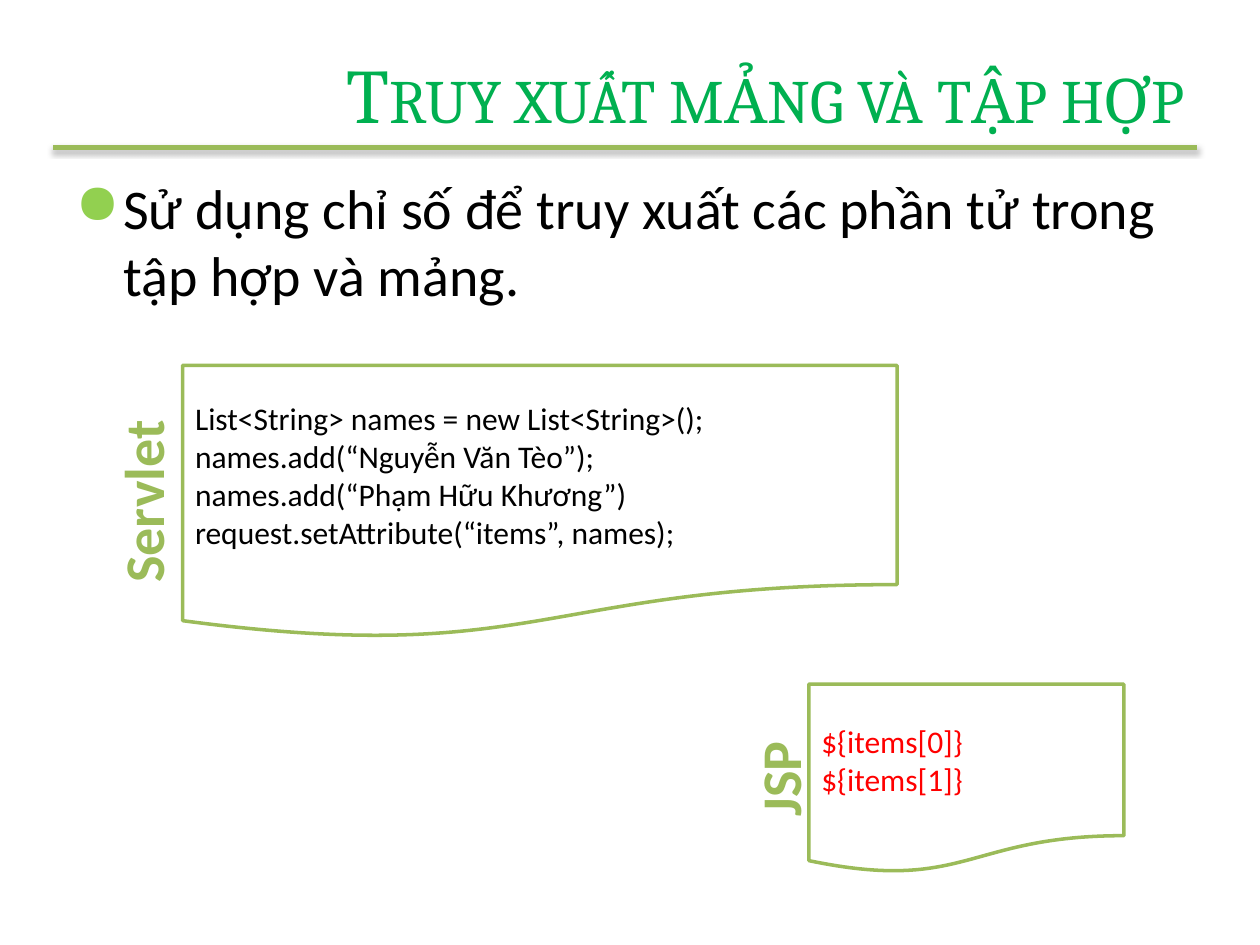
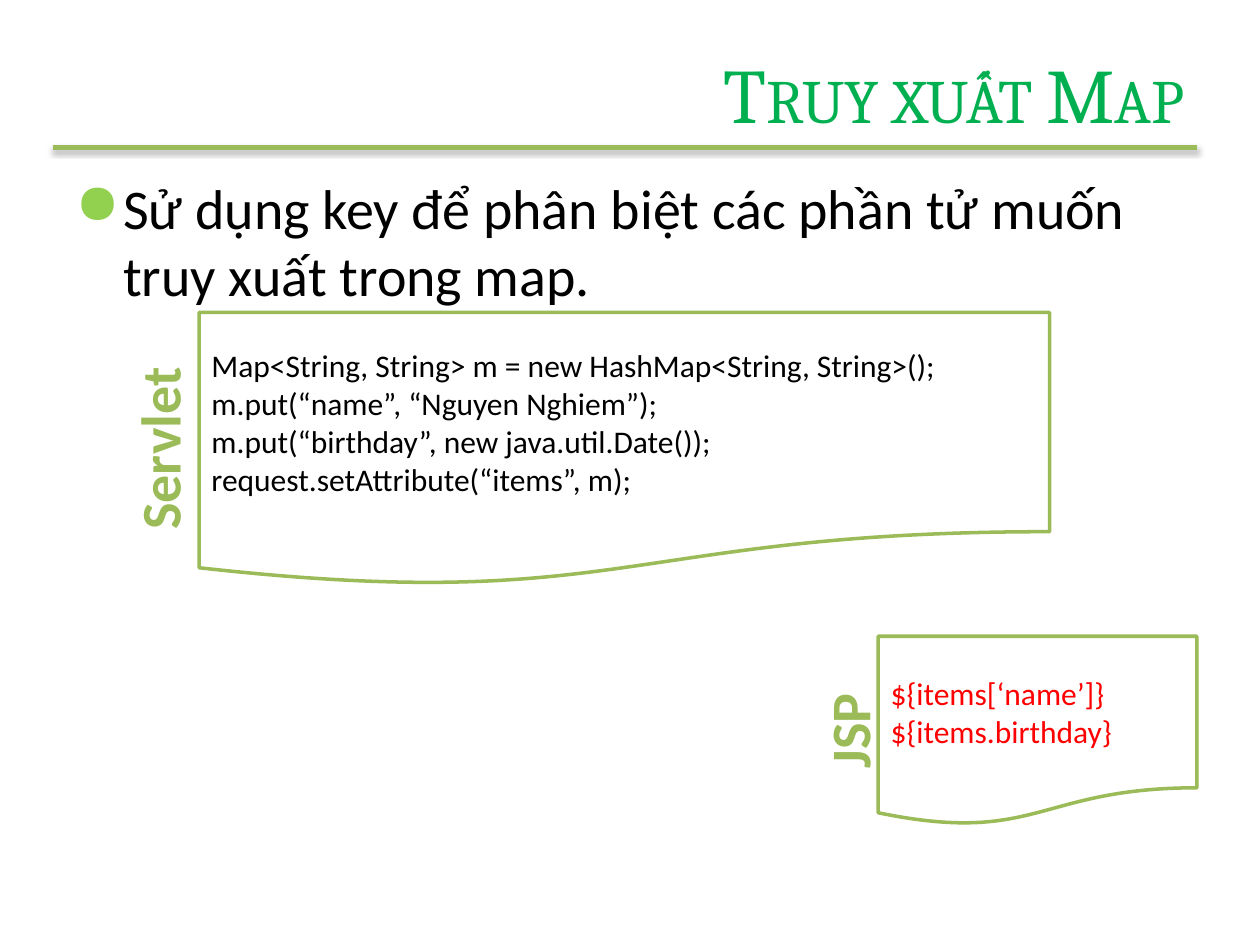
from lxml import etree
from pptx import Presentation
from pptx.dml.color import RGBColor
from pptx.enum.shapes import MSO_CONNECTOR, MSO_SHAPE
from pptx.enum.text import MSO_ANCHOR, MSO_AUTO_SIZE, PP_ALIGN
from pptx.oxml import parse_xml
from pptx.oxml.ns import nsdecls, qn
from pptx.util import Pt

LEFT, CENTER, RIGHT = PP_ALIGN.LEFT, PP_ALIGN.CENTER, PP_ALIGN.RIGHT
TOP, MIDDLE = MSO_ANCHOR.TOP, MSO_ANCHOR.MIDDLE
NO_FIT, FIT_SHAPE = MSO_AUTO_SIZE.NONE, MSO_AUTO_SIZE.SHAPE_TO_FIT_TEXT
DOCUMENT, STRAIGHT = MSO_SHAPE.FLOWCHART_DOCUMENT, MSO_CONNECTOR.STRAIGHT

PX = 9144
COLORS = {"title": "00B050", "accent": "9BBB59", "bullet": "92D050",
          "text": "000000", "result": "FF0000", "paper": "FFFFFF"}
FONTS = {
    "title": {"name": "Cambria", "size": Pt(44)},
    "body": {"name": "Calibri", "size": Pt(32)},
    "code": {"name": "Calibri", "size": Pt(18)},
    "label": {"name": "Calibri", "size": Pt(32), "bold": True},
}


def rgb(key):
    return RGBColor.from_string(COLORS[key])


class Deck:
    """Builds slides in one shared style, with lengths in px (100 to the inch)."""

    def __init__(self):
        self.prs = Presentation()
        self.prs.slide_width, self.prs.slide_height = 1000 * PX, 750 * PX
        self.s = None

    def slide(self, title, body, body_h):
        self.s = self.prs.slides.add_slide(self.prs.slide_layouts[6])
        self.rule(42, 117, 950)
        self.title(title)
        self.bullet(body, body_h)

    def text(self, sp, lines, font, color, align=LEFT, **frame):
        tf = sp.text_frame
        settings = {"word_wrap": True, "auto_size": NO_FIT, "vertical_anchor": TOP, **frame}
        for key, value in settings.items():
            setattr(tf, key, value)
        for i, line in enumerate(lines):
            p = tf.paragraphs[0] if i == 0 else tf.add_paragraph()
            p.alignment = align
            r = p.add_run()
            r.text = line
            for key, value in FONTS[font].items():
                setattr(r.font, key, value)
            r.font.color.rgb = rgb(color)
        return tf.paragraphs[0]

    def box(self, x, y, w, h):
        return self.s.shapes.add_textbox(x * PX, y * PX, w * PX, h * PX)

    def rule(self, x1, y, x2):
        line = self.s.shapes.add_connector(STRAIGHT, x1 * PX, y * PX, x2 * PX, y * PX)
        line.line.color.rgb = rgb("accent")
        line.line.width = Pt(3)
        line._element.spPr.append(parse_xml(
            f'<a:effectLst {nsdecls("a")}>'
            f'<a:outerShdw blurRad="{Pt(3.1)}" dist="{Pt(1.8)}" dir="5400000" rotWithShape="0">'
            f'<a:srgbClr val="{COLORS["text"]}"><a:alpha val="35000"/></a:srgbClr>'
            '</a:outerShdw></a:effectLst>'))

    def title(self, text):
        p = self.text(self.box(145, 30, 805, 87), [text], "title", "title", RIGHT,
                      vertical_anchor=MIDDLE)
        p.runs[0].font._element.set("cap", "small")

    def bullet(self, text, h):
        p = self.text(self.box(50, 133, 900, h), [text], "body", "text")
        pPr = p._p.get_or_add_pPr()
        pPr.set("marL", str(38 * PX))
        pPr.set("indent", str(-38 * PX))
        before = etree.SubElement(pPr, qn("a:spcBef"))
        etree.SubElement(before, qn("a:spcPct")).set("val", "20000")
        color = etree.SubElement(pPr, qn("a:buClr"))
        etree.SubElement(color, qn("a:srgbClr")).set("val", COLORS["bullet"])
        etree.SubElement(pPr, qn("a:buChar")).set("char", "●")

    def document(self, x, y, w, h, lines, color):
        sp = self.s.shapes.add_shape(DOCUMENT, x * PX, y * PX, w * PX, h * PX)
        sp.shadow.inherit = False
        sp.fill.solid()
        sp.fill.fore_color.rgb = rgb("paper")
        sp.line.color.rgb = rgb("accent")
        sp.line.width = Pt(2)
        self.text(sp, lines, "code", color, vertical_anchor=MIDDLE)

    def label(self, text, cx, cy, w, h=64):
        sp = self.box(cx - w // 2, cy - h // 2, w, h)
        sp.rotation = 270
        self.text(sp, [text], "label", "accent", CENTER, word_wrap=False, auto_size=FIT_SHAPE)

    def servlet(self, x, y, w, lines):
        self.document(x, y, w, 217, lines, "text")
        self.label("Servlet", x - 32, y + 108, 170)

    def jsp(self, x, y, w, lines):
        self.document(x, y, w, 150, lines, "result")
        self.label("JSP", x - 24, y + 75, 105)


def main():
    deck = Deck()

    deck.slide("Truy xuất mảng và tập hợp",
               "Sử dụng chỉ số để truy xuất các phần tử trong tập hợp và mảng.", 150)
    deck.servlet(145, 290, 567, [
        "List<String> names = new List<String>();",
        "names.add(“Nguyễn Văn Tèo”);",
        "names.add(“Phạm Hữu Khương”)",
        "request.setAttribute(“items”, names);",
    ])
    deck.jsp(642, 543, 250, ["${items[0]}", "${items[1]}"])

    deck.slide("Truy xuất Map",
               "Sử dụng key để phân biệt các phần tử muốn truy xuất trong map.", 115)
    deck.servlet(158, 248, 675, [
        "Map<String, String> m = new HashMap<String, String>();",
        "m.put(“name”, “Nguyen Nghiem”);",
        "m.put(“birthday”, new java.util.Date());",
        "request.setAttribute(“items”, m);",
    ])
    deck.jsp(697, 505, 253, ["${items[‘name’]}", "${items.birthday}"])

    deck.prs.save("out.pptx")


if __name__ == "__main__":
    main()
